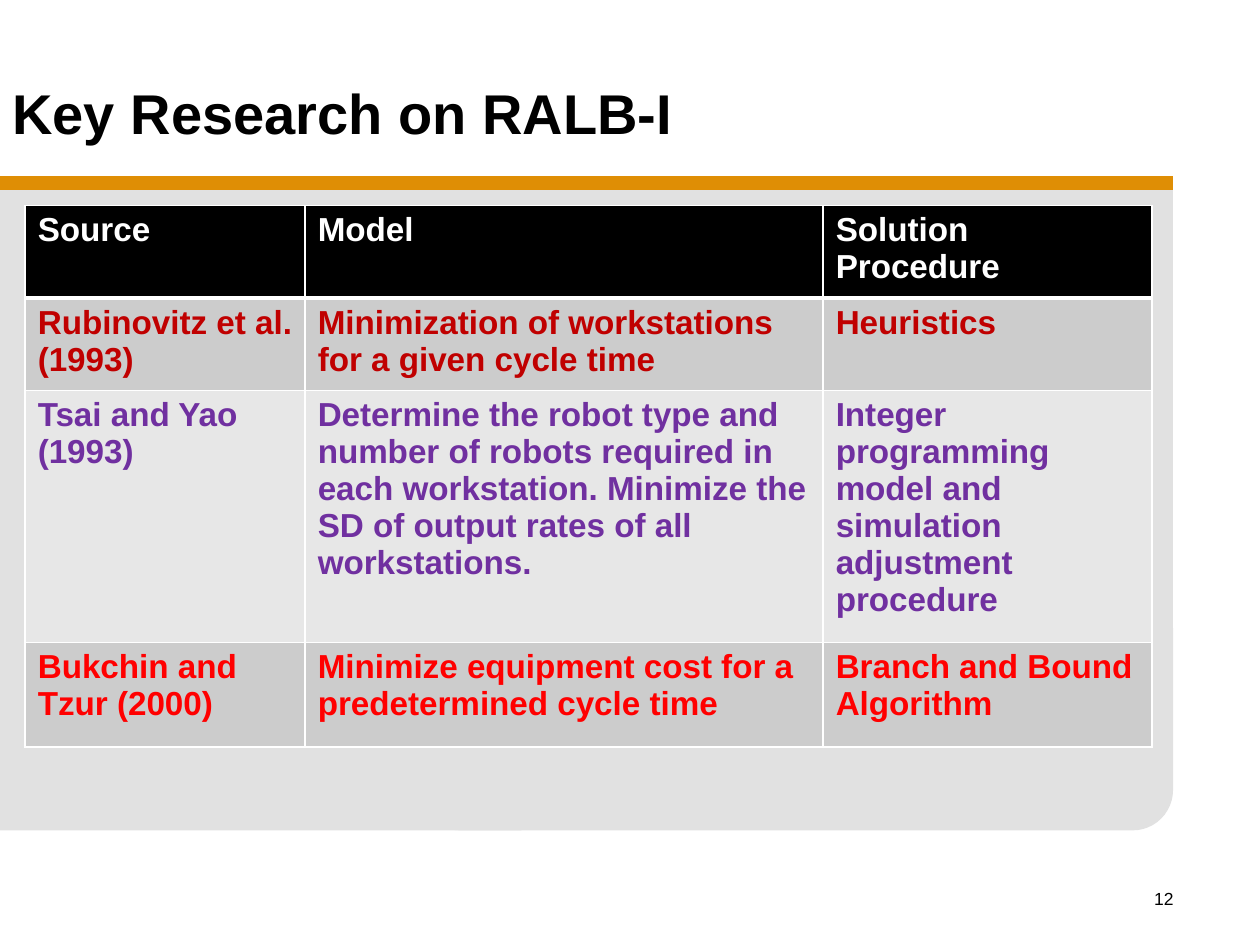
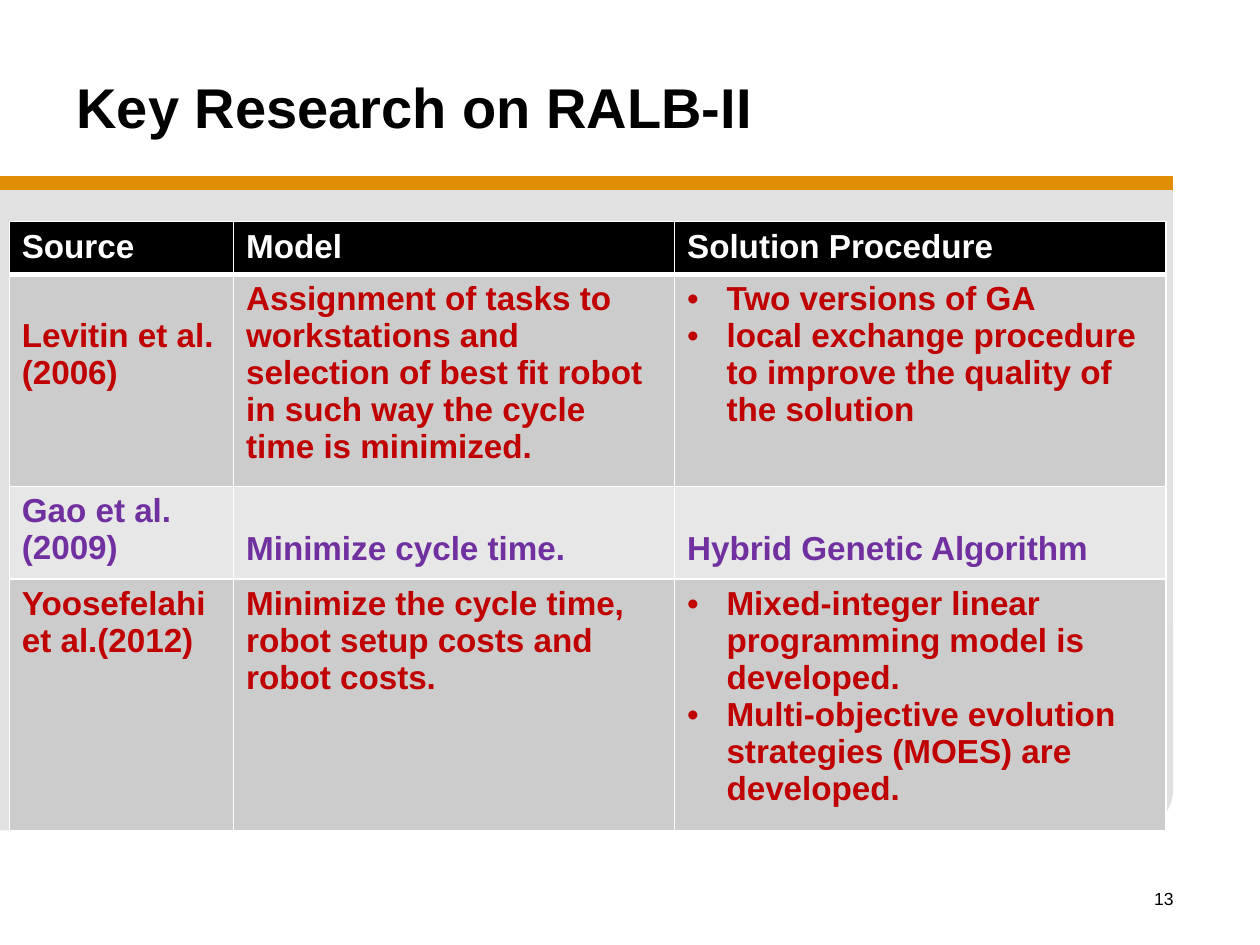
from lxml import etree
from pptx import Presentation
from pptx import util as u
from pptx.dml.color import RGBColor
from pptx.enum import shapes, text
from pptx.oxml import ns

Pt = u.Pt
BLACK = RGBColor(0x00, 0x00, 0x00)
WHITE = RGBColor(0xFF, 0xFF, 0xFF)
PANEL_GREY = RGBColor(0xE1, 0xE1, 0xE1)
ORANGE = RGBColor(0xDF, 0x8E, 0x05)
DARK_BAND = RGBColor(0xCC, 0xCC, 0xCC)
LIGHT_BAND = RGBColor(0xE7, 0xE7, 0xE7)
CRIMSON = RGBColor(0xC0, 0x00, 0x00)
PURPLE = RGBColor(0x70, 0x30, 0xA0)
RED = RGBColor(0xFF, 0x00, 0x00)

TITLE_FONT = {"name": "Arial", "size": Pt(32), "bold": True}
CELL_FONT = {"name": "Arial", "size": Pt(19), "bold": True}
NUMBER_FONT = {"name": "Arial", "size": Pt(10), "bold": False}
PANEL_BOX = (0, 107.3, 670.3, 367.2)
NUMBER_BOX = (527.8, 504, 149.8, 36)
BULLET = "• "
BULLET_INDENT = Pt(22.5)
CELL_INSET = 3.6
LINE_HEIGHT = 21.2
HEADINGS = ("Source", "Model", "Solution Procedure")

RALB_ONE = {
    "title": "Key Research on RALB-I",
    "title_box": (0, 31, 411.8, 68.4),
    "title_format": {"line_spacing": Pt(36)},
    "title_indent": 0,
    "table_origin": (14.4, 117.5),
    "columns": (160, 296, 188),
    "rows": (52.6, 52.6, 144, 59.8),
    "studies": [
        (CRIMSON, ("Rubinovitz et al. (1993)",
                   "Minimization of workstations for a given cycle time",
                   "Heuristics")),
        (PURPLE, ("Tsai and Yao (1993)",
                  "Determine the robot type and number of robots required in each "
                  "workstation. Minimize the SD of output rates of all workstations.",
                  "Integer programming model and simulation adjustment procedure")),
        (RED, ("Bukchin and Tzur (2000)",
               "Minimize equipment cost for a predetermined cycle time",
               "Branch and Bound Algorithm")),
    ],
    "lowered_cells": (),
}
RALB_TWO = {
    "title": "Key Research on RALB-II",
    "title_box": (30.2, 12.2, 648, 97.2),
    "title_format": {},
    "title_indent": 6.5,
    "table_origin": (5.3, 126.7),
    "columns": (128.2, 252, 280.8),
    "rows": (30.2, 121, 52.6, 144),
    "studies": [
        (CRIMSON, ("Levitin et al.\n(2006)",
                   "Assignment of tasks to workstations and selection of best fit robot "
                   "in such way the cycle time is minimized.",
                   "• Two versions of GA\n"
                   "• local exchange procedure to improve the quality of the solution")),
        (PURPLE, ("Gao et al.(2009)", "Minimize cycle time.", "Hybrid Genetic Algorithm")),
        (CRIMSON, ("Yoosefelahi et al.(2012)",
                   "Minimize the cycle time, robot setup costs and robot costs.",
                   "• Mixed-integer linear programming model is developed.\n"
                   "• Multi-objective evolution strategies (MOES) are developed.")),
    ],
    "lowered_cells": ((1, 0), (2, 1), (2, 2)),
}


def apply(target, formats):
    """Set every attribute named in a dict of format values."""
    for name, value in formats.items():
        setattr(target, name, value)


def write(paragraph, words, font, colour):
    """Put one formatted run into a paragraph."""
    run = paragraph.add_run()
    run.text = words
    apply(run.font, font)
    run.font.color.rgb = colour


def add_label(slide, box, words, font, frame_format, paragraph_format, indent=0):
    """Add one line of text that fills the given box."""
    frame = slide.shapes.add_textbox(*map(Pt, box)).text_frame
    apply(frame, {"word_wrap": True, **frame_format})
    paragraph = frame.paragraphs[0]
    apply(paragraph, paragraph_format)
    if indent:
        paragraph._p.get_or_add_pPr().set("marL", str(Pt(indent)))
    write(paragraph, words, font, BLACK)


def add_panel(slide, box):
    """Draw the grey panel with one rounded corner and its orange top rule."""
    left, top, width, height = box
    rectangle = shapes.MSO_SHAPE.RECTANGLE
    rounded = shapes.MSO_SHAPE.ROUNDED_RECTANGLE
    parts = (
        (rectangle, 0, 0, width, 313.9),
        (rounded, 239.8, height - 138.2, width - 239.8, 138.2),
        (rectangle, 0, 90.7, 298, height - 90.7),
    )
    for kind, x, y, w, h in parts:
        part = slide.shapes.add_shape(kind, Pt(left + x), Pt(top + y), Pt(w), Pt(h))
        part.shadow.inherit = False
        part.fill.solid()
        part.fill.fore_color.rgb = PANEL_GREY
        part.line.fill.background()
    rule_y = Pt(top - 2.9)
    rule = slide.shapes.add_connector(
        shapes.MSO_CONNECTOR.STRAIGHT, Pt(left), rule_y, Pt(left + width), rule_y)
    rule.line.color.rgb = ORANGE
    rule.line.width = Pt(8)
    etree.SubElement(rule._element.spPr, ns.qn("a:effectLst"))


def add_borders(cell, widths):
    """Give a cell white borders with the widths for left, right, top and bottom."""
    properties = cell._tc.get_or_add_tcPr()
    for position, (side, width) in enumerate(zip("LRTB", widths)):
        border = etree.Element(ns.qn(f"a:ln{side}"), w=str(Pt(width)))
        fill = etree.SubElement(border, ns.qn("a:solidFill"))
        etree.SubElement(fill, ns.qn("a:srgbClr"), val=str(WHITE))
        properties.insert(position, border)


def add_bullet(paragraph):
    """Turn a paragraph into a bullet with a hanging indent."""
    properties = paragraph._p.get_or_add_pPr()
    properties.set("marL", str(BULLET_INDENT))
    properties.set("indent", str(-BULLET_INDENT))
    etree.SubElement(properties, ns.qn("a:buFont"), typeface="Arial")
    etree.SubElement(properties, ns.qn("a:buChar"), char=BULLET.strip())


def fill_cell(cell, words, colour, background, lowered):
    """Write the lines of one cell, starting a line lower when asked."""
    cell.fill.solid()
    cell.fill.fore_color.rgb = background
    cell.margin_top = Pt(CELL_INSET + LINE_HEIGHT * lowered)
    frame = cell.text_frame
    for number, line in enumerate(words.split("\n")):
        paragraph = frame.add_paragraph() if number else frame.paragraphs[0]
        if line.startswith(BULLET):
            add_bullet(paragraph)
        write(paragraph, line.removeprefix(BULLET), CELL_FONT, colour)


def add_studies(slide, content):
    """Build the table of studies at its origin."""
    columns, rows = content["columns"], content["rows"]
    box = (*content["table_origin"], sum(columns), sum(rows))
    table = slide.shapes.add_table(len(rows), len(columns), *map(Pt, box)).table
    for column, width in zip(table.columns, columns):
        column.width = Pt(width)
    for row, height in zip(table.rows, rows):
        row.height = Pt(height)
    for r, (colour, entries) in enumerate([(WHITE, HEADINGS), *content["studies"]]):
        background = BLACK if r == 0 else DARK_BAND if r % 2 else LIGHT_BAND
        for c, words in enumerate(entries):
            cell = table.cell(r, c)
            fill_cell(cell, words, colour, background, (r, c) in content["lowered_cells"])
            add_borders(cell, (1, 1, 3 if r == 1 else 1, 3 if r == 0 else 1))


def add_research_slide(deck, content, number):
    """Add one slide with its panel, page number, title and table."""
    slide = deck.slides.add_slide(deck.slide_layouts[6])
    add_panel(slide, PANEL_BOX)
    add_label(slide, NUMBER_BOX, str(number), NUMBER_FONT, {},
              {"alignment": text.PP_ALIGN.RIGHT})
    add_label(slide, content["title_box"], content["title"], TITLE_FONT,
              {"vertical_anchor": text.MSO_ANCHOR.MIDDLE},
              content["title_format"], content["title_indent"])
    add_studies(slide, content)


def main():
    """Build and save the deck."""
    deck = Presentation()
    apply(deck, {"slide_width": Pt(720), "slide_height": Pt(540)})
    for number, content in enumerate((RALB_ONE, RALB_TWO), start=12):
        add_research_slide(deck, content, number)
    deck.save("out.pptx")


if __name__ == "__main__":
    main()
